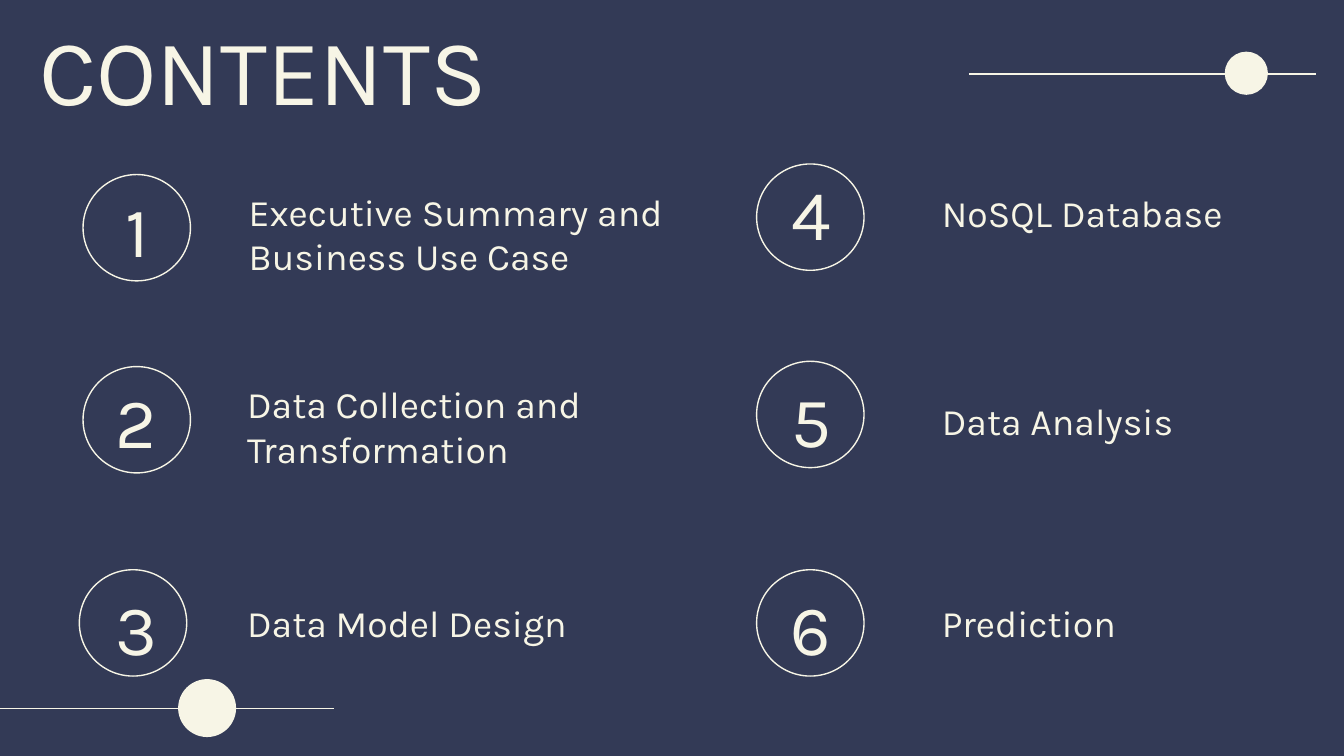
from dataclasses import dataclass

from lxml import etree
from pptx import Presentation
from pptx import util as u
from pptx.dml.color import RGBColor
from pptx.enum import shapes, text
from pptx.oxml.ns import qn


@dataclass(frozen=True)
class Theme:
    background: RGBColor = RGBColor(0x33, 0x3A, 0x56)
    ink: RGBColor = RGBColor(0xF7, 0xF5, 0xE6)
    font: str = "Karla"
    title_size: int = 50
    number_size: int = 38
    label_size: int = 20
    line_width: float = 0.75


@dataclass(frozen=True)
class Box:
    """Left, top, width and height in centimetres."""
    left: float
    top: float
    width: float
    height: float

    def lengths(self):
        return [u.Cm(value) for value in (self.left, self.top, self.width, self.height)]


@dataclass(frozen=True)
class Entry:
    label: str
    label_box: Box
    number_box: Box
    circle_left: float
    circle_top: float


@dataclass(frozen=True)
class Slider:
    """A horizontal rule carrying a filled dot."""
    start: float
    end: float
    y: float
    dot_left: float
    dot_top: float
    dot_size: float


THEME = Theme()
CIRCLE_WIDTH, CIRCLE_HEIGHT = 2.03, 2.01
LEFT_NUMBER, RIGHT_NUMBER = 0.74, 13.49
LEFT_LABEL, RIGHT_LABEL = 4.42, 17.55
RIGHT_CIRCLE = 14.3


def number_area(left: float, top: float) -> Box:
    return Box(left, top, 3.68, 2.01)


ENTRIES = [
    Entry("Executive Summary and\nBusiness Use Case", Box(4.45, 2.69, 12.6, 3.45),
          Box(1.65, 3.43, 1.9, 1.8), 1.57, 3.3),
    Entry("Data Collection and Transformation", Box(LEFT_LABEL, 6.55, 9.75, 3.02),
          number_area(LEFT_NUMBER, 6.93), 1.57, 6.93),
    Entry("Data Model Design", Box(LEFT_LABEL, 10.11, 7.39, 3.3),
          number_area(LEFT_NUMBER, 10.85), 1.5, 10.77),
    Entry("NoSQL Database", Box(RIGHT_LABEL, 2.62, 9.19, 2.79),
          number_area(RIGHT_NUMBER, 3), RIGHT_CIRCLE, 3.1),
    Entry("Data Analysis", Box(RIGHT_LABEL, 6.22, 5.26, 3.45),
          number_area(RIGHT_NUMBER, 6.91), RIGHT_CIRCLE, 6.83),
    Entry("Prediction", Box(RIGHT_LABEL, 10.52, 6.38, 2.51),
          number_area(RIGHT_NUMBER, 10.85), RIGHT_CIRCLE, 10.77),
]
SLIDERS = [
    Slider(18.31, 24.87, 1.4, 23.16, 0.99, 0.79),
    Slider(0, 6.32, 13.39, 3.38, 12.85, 1.07),
]


def write_text(shape, content: str, *, size: int, align=text.PP_ALIGN.LEFT,
               inset: float = 0.25, line_spacing: float = 1.0) -> None:
    frame = shape.text_frame
    frame.word_wrap = True
    frame.auto_size = text.MSO_AUTO_SIZE.NONE
    frame.vertical_anchor = text.MSO_ANCHOR.MIDDLE
    frame.margin_left = frame.margin_right = u.Cm(inset)
    frame.margin_top = frame.margin_bottom = u.Cm(inset)
    frame.text = content
    for paragraph in frame.paragraphs:
        paragraph.alignment = align
        paragraph.line_spacing = line_spacing
        paragraph.font.name = THEME.font
        paragraph.font.size = u.Pt(size)
        paragraph.font.color.rgb = THEME.ink


def add_text(slide, content: str, box: Box, **text_format) -> None:
    write_text(slide.shapes.add_textbox(*box.lengths()), content, **text_format)


def add_circle(slide, box: Box, *, filled: bool = False) -> None:
    circle = slide.shapes.add_shape(shapes.MSO_SHAPE.OVAL, *box.lengths())
    circle.shadow.inherit = False
    circle.line.color.rgb = THEME.ink
    circle.line.width = u.Pt(THEME.line_width)
    if filled:
        circle.fill.solid()
        circle.fill.fore_color.rgb = THEME.ink
    else:
        circle.fill.background()


def add_slider(slide, slider: Slider) -> None:
    add_circle(slide, Box(slider.dot_left, slider.dot_top, slider.dot_size, slider.dot_size),
               filled=True)
    rule = slide.shapes.add_connector(shapes.MSO_CONNECTOR.STRAIGHT, u.Cm(slider.start),
                                      u.Cm(slider.y), u.Cm(slider.end), u.Cm(slider.y))
    rule.line.color.rgb = THEME.ink
    rule.line.width = u.Pt(THEME.line_width)
    etree.SubElement(rule._element.spPr, qn("a:effectLst"))


def add_entry(slide, number: int, entry: Entry) -> None:
    add_circle(slide, Box(entry.circle_left, entry.circle_top, CIRCLE_WIDTH, CIRCLE_HEIGHT))
    add_text(slide, str(number), entry.number_box, size=THEME.number_size,
             align=text.PP_ALIGN.CENTER)
    add_text(slide, entry.label, entry.label_box, size=THEME.label_size)


def add_title(slide, content: str, box: Box) -> None:
    title = slide.shapes.title
    title.left, title.top, title.width, title.height = box.lengths()
    write_text(title, content, size=THEME.title_size, inset=0, line_spacing=0.9)


def main() -> None:
    presentation = Presentation()
    presentation.slide_width, presentation.slide_height = u.Cm(25.4), u.Cm(14.29)
    slide = presentation.slides.add_slide(presentation.slide_layouts.get_by_name("Title Only"))
    slide.background.fill.solid()
    slide.background.fill.fore_color.rgb = THEME.background

    add_title(slide, "CONTENTS", Box(0.74, 0.25, 10.57, 2.36))
    for number, entry in enumerate(ENTRIES, start=1):
        add_entry(slide, number, entry)
    for slider in SLIDERS:
        add_slider(slide, slider)
    presentation.save("out.pptx")


if __name__ == "__main__":
    main()
